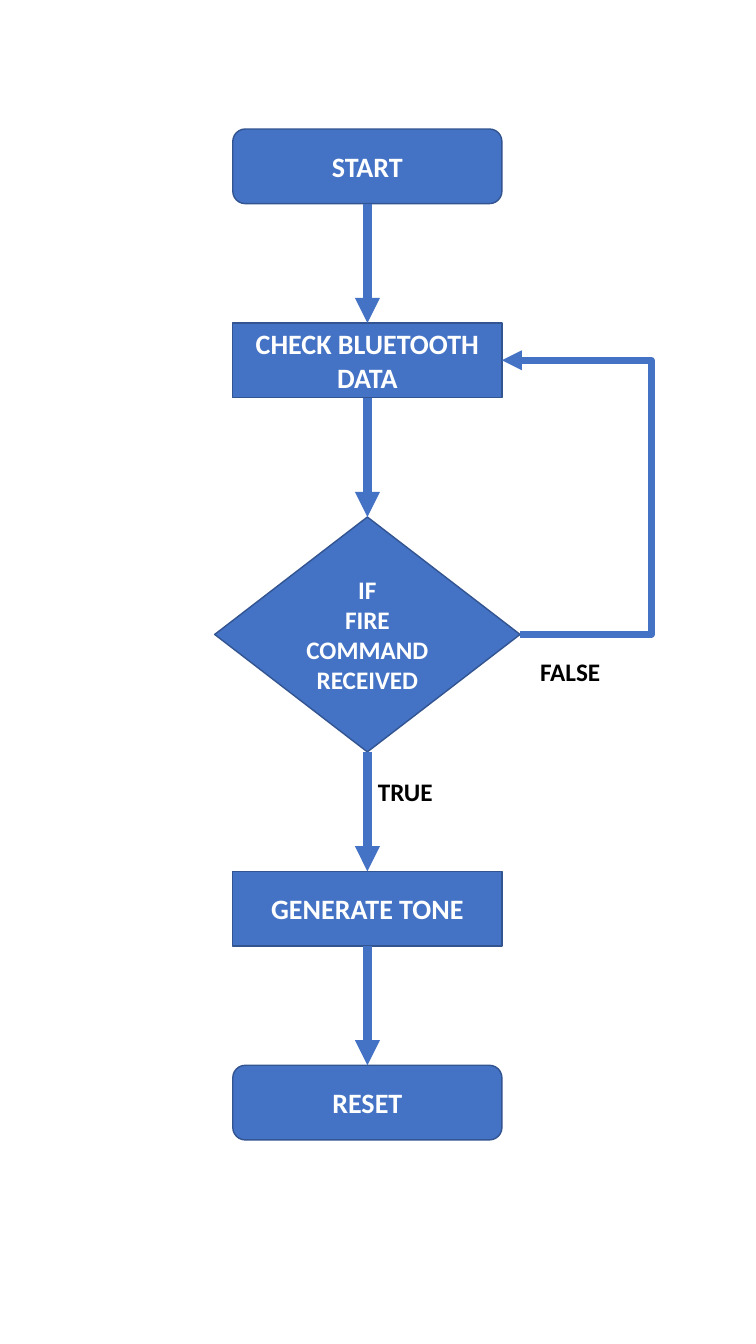
from lxml import etree
from pptx import Presentation
from pptx.dml.color import RGBColor
from pptx.enum.shapes import MSO_CONNECTOR, MSO_SHAPE
from pptx.enum.text import MSO_ANCHOR, MSO_AUTO_SIZE, PP_ALIGN
from pptx.oxml.ns import qn
from pptx.util import Inches, Pt

ROUNDED, DIAMOND = MSO_SHAPE.ROUNDED_RECTANGLE, MSO_SHAPE.DIAMOND
STRAIGHT, ELBOW = MSO_CONNECTOR.STRAIGHT, MSO_CONNECTOR.ELBOW
MIDDLE, CENTER = MSO_ANCHOR.MIDDLE, PP_ALIGN.CENTER
FIT_SHAPE = MSO_AUTO_SIZE.SHAPE_TO_FIT_TEXT

BLUE = RGBColor(0x44, 0x72, 0xC4)
DARK_BLUE = RGBColor(0x32, 0x54, 0x91)
WHITE = RGBColor(0xFF, 0xFF, 0xFF)
BLACK = RGBColor(0x00, 0x00, 0x00)

TOP_SITE, BOTTOM_SITE, RIGHT_SITE = 0, 2, 3
CENTER_X = 3.645
FIRST_TOP = 1.28
STEP_GAP = 1.184
BOX_SIZE = (2.67, 0.74)
DECISION_SIZE = (3.03, 2.33)
LOOP_BEND = -7.236  # bend position as a share of the loop's width

# shape, size, corner radius, font size, paragraphs
STEPS = [
    (ROUNDED, BOX_SIZE, 0.1667, 20, ["START"]),
    (ROUNDED, BOX_SIZE, 0, 20, ["CHECK BLUETOOTH DATA"]),
    (DIAMOND, DECISION_SIZE, None, 18, ["IF", "FIRE COMMAND RECEIVED"]),
    (ROUNDED, BOX_SIZE, 0, 20, ["GENERATE TONE"]),
    (ROUNDED, BOX_SIZE, 0.1667, 20, ["RESET"]),
]


def set_font(paragraph, size, color):
    font = paragraph.font
    font.name = "Calibri"
    font.size = Pt(size)
    font.bold = True
    font.color.rgb = color


def add_step(slide, top, kind, size, radius, font_size, lines):
    width, height = size
    step = slide.shapes.add_shape(kind, Inches(CENTER_X - width / 2), Inches(top),
                                  Inches(width), Inches(height))
    if radius is not None:
        step.adjustments[0] = radius
    step.shadow.inherit = False
    step.fill.solid()
    step.fill.fore_color.rgb = BLUE
    step.line.color.rgb = DARK_BLUE
    step.line.width = Pt(1)
    frame = step.text_frame
    frame.word_wrap = True
    frame.vertical_anchor = MIDDLE
    frame.text = "\n".join(lines)
    for paragraph in frame.paragraphs:
        paragraph.alignment = CENTER
        set_font(paragraph, font_size, WHITE)
    return step


def add_arrow(slide, kind, source, source_site, target, target_site, width):
    arrow = slide.shapes.add_connector(kind, 0, 0, 0, 0)
    arrow.begin_connect(source, source_site)
    arrow.end_connect(target, target_site)
    arrow.line.color.rgb = BLUE
    arrow.line.width = Pt(width)
    properties = arrow._element.spPr
    etree.SubElement(properties.find(qn("a:ln")), qn("a:tailEnd"), type="triangle")
    etree.SubElement(properties, qn("a:effectLst"))
    return arrow


def set_bend(arrow, share):
    guides = arrow._element.spPr.find(qn("a:prstGeom")).find(qn("a:avLst"))
    etree.SubElement(guides, qn("a:gd"), name="adj1", fmla=f"val {round(share * 100000)}")


def add_branch_label(slide, text, left, top, width):
    label = slide.shapes.add_textbox(Inches(left), Inches(top), Inches(width), Inches(0.4))
    frame = label.text_frame
    frame.word_wrap = False
    frame.auto_size = FIT_SHAPE
    frame.text = text
    set_font(frame.paragraphs[0], 18, BLACK)


def main():
    presentation = Presentation()
    presentation.slide_width = Inches(7.5)
    presentation.slide_height = Inches(13.33)
    slide = presentation.slides.add_slide(presentation.slide_layouts[6])

    steps = []
    top = FIRST_TOP
    for kind, size, radius, font_size, lines in STEPS:
        steps.append(add_step(slide, top, kind, size, radius, font_size, lines))
        top += size[1] + STEP_GAP

    for source, target in zip(steps, steps[1:]):
        add_arrow(slide, STRAIGHT, source, BOTTOM_SITE, target, TOP_SITE, 6)

    check, decision = steps[1:3]
    loop = add_arrow(slide, ELBOW, decision, RIGHT_SITE, check, RIGHT_SITE, 4.75)
    set_bend(loop, LOOP_BEND)

    add_branch_label(slide, "TRUE", 3.65, 7.65, 0.76)
    add_branch_label(slide, "FALSE", 5.26, 6.46, 0.8)
    presentation.save("out.pptx")


if __name__ == "__main__":
    main()
